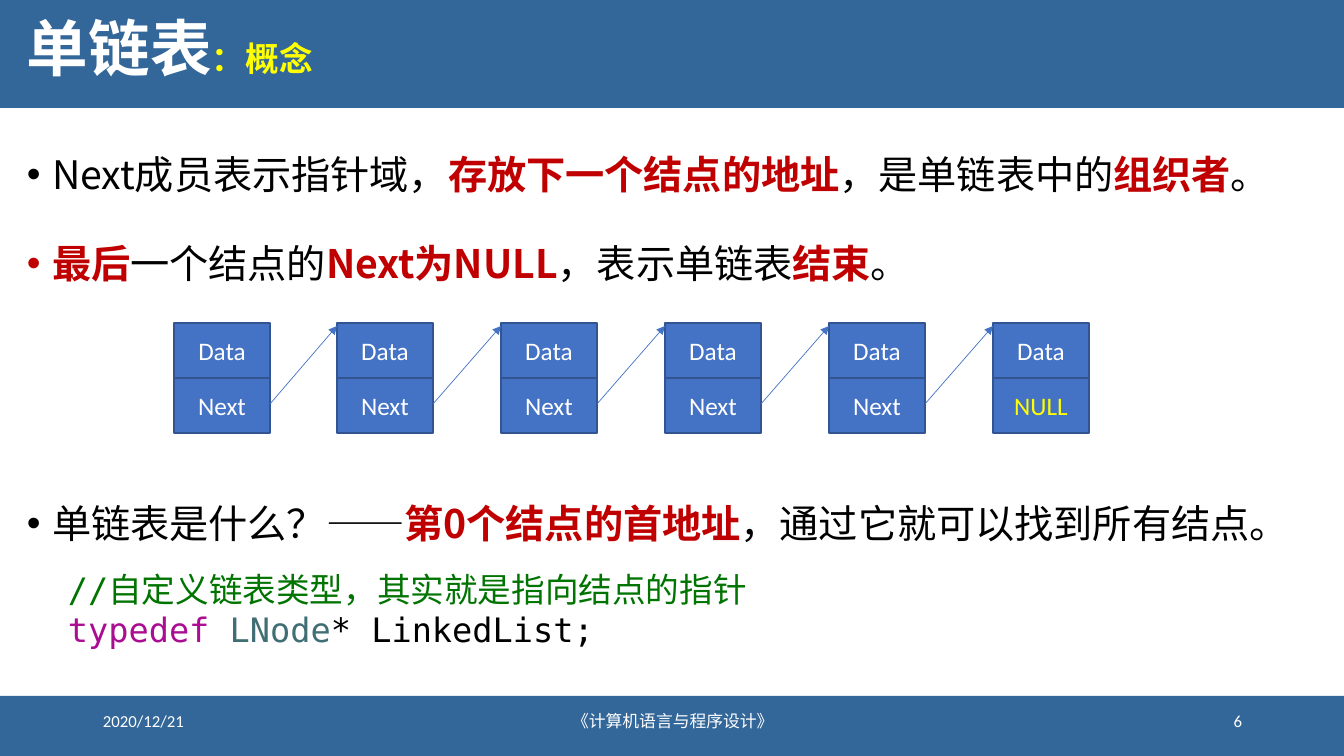
from pptx import Presentation, util as u
from pptx.dml.color import RGBColor
from pptx.enum import shapes as sh, text as tx
from pptx.oxml.ns import qn
from lxml import etree

# Content: a run is (text, style name)
TITLE = [[("单链表", "title"), ("：概念", "topic")]]
POINTS = [
    [("Next成员表示指针域，", "body"), ("存放下一个结点的地址", "key"),
     ("，是单链表中的", "body"), ("组织者", "key"), ("。", "body")],
    [("最后", "key"), ("一个结点的", "body"), ("Next为NULL", "key"),
     ("，表示单链表", "body"), ("结束", "key"), ("。", "body")],
]
ANSWER = [[("单链表是什么？——", "body"), ("第0个结点的首地址", "key"),
           ("，通过它就可以找到所有结点。", "body")]]
CODE = [
    [("//自定义链表类型，其实就是指向结点的指针", "note")],
    [("typedef ", "word"), ("LNode", "type"), ("* LinkedList;", "code")],
]
NODES = [("Data", "Next")] * 5 + [("Data", "NULL")]
FOOT = [  # text, left, width, alignment
    ("2020/12/21", 93, 302, "LEFT"),
    ("《计算机语言与程序设计》", 446, 454, "CENTER"),
    ("6", 950, 302, "RIGHT"),
]

# Theme
SANS, MONO, LATIN = "Noto Sans CJK SC", "DejaVu Sans Mono", "Calibri"
THEME = {
    "fill": {"bar": "336699", "node": "4472C4", "edge": "325491"},
    "text": {  # font, size, colour, bold
        "title": (SANS, 44, "FFFFFF", True),
        "topic": (SANS, 24, "FFFF00", True),
        "body": (SANS, 28, "000000", False),
        "key": (SANS, 28, "C00000", True),
        "note": (MONO, 24, "007400", False),
        "word": (MONO, 24, "AA0D91", False),
        "type": (MONO, 24, "3F6E74", False),
        "code": (MONO, 24, "000000", False),
        "cell": (LATIN, 18, "FFFFFF", False),
        "null": (LATIN, 18, "FFFF00", False),
        "foot": (LATIN, 12, "FFFFFF", False),
    },
}
PX = 914400 / 100.8
WIDE, HIGH = 1344, 756


def px(*nums):
    return [u.Emu(round(n * PX)) for n in nums]


def paint(name):
    return RGBColor.from_string(THEME["fill"][name])


def put(item, form):
    for name, value in form.items():
        setattr(item, name, value)


def write(frame, paras, form=None, bullet=False, **box):
    put(frame, {"word_wrap": True, **box})
    for i, runs in enumerate(paras):
        para = frame.paragraphs[0] if i == 0 else frame.add_paragraph()
        if bullet:
            props = para._p.get_or_add_pPr()
            put_in = {"marL": "228600", "indent": "-228600"}
            for name, value in put_in.items():
                props.set(name, value)
            etree.SubElement(props, qn("a:buFont")).set("typeface", "Arial")
            etree.SubElement(props, qn("a:buChar")).set("char", "•")
            put(para, {"line_spacing": 1.6, "space_before": u.Pt(10 if i else 0)})
        put(para, form or {})
        for words, style in runs:
            face, size, tint, bold = THEME["text"][style]
            run = para.add_run()
            run.text = words
            put(run.font, {"name": face, "size": u.Pt(size), "bold": bold})
            run.font.color.rgb = RGBColor.from_string(tint)
            etree.SubElement(run._r.rPr, qn("a:ea")).set("typeface", SANS)


def label(slide, place, paras, **form):
    write(slide.shapes.add_textbox(*px(*place)).text_frame, paras, **form)


def block(host, place, fill, edge=None):
    shape = host.add_shape(sh.MSO_SHAPE.RECTANGLE, *px(*place))
    shape.shadow.inherit = False
    shape.fill.solid()
    shape.fill.fore_color.rgb = paint(fill)
    if edge:
        shape.line.color.rgb = paint(edge)
        shape.line.width = u.Pt(1)
    else:
        shape.line.fill.background()
    return shape


def arrow(slide, *ends):
    link = slide.shapes.add_connector(sh.MSO_CONNECTOR.STRAIGHT, *px(*ends))
    link.line.color.rgb = paint("node")
    link.line.width = u.Pt(0.5)
    etree.SubElement(link.line._get_or_add_ln(), qn("a:tailEnd")).set("type", "triangle")
    etree.SubElement(link._element.spPr, qn("a:effectLst"))


def main():
    deck = Presentation()
    deck.slide_width, deck.slide_height = px(WIDE, HIGH)
    slide = deck.slides.add_slide(deck.slide_layouts[6])
    mid = tx.MSO_ANCHOR.MIDDLE

    # Bars, title and footer
    block(slide.shapes, (0, 0, WIDE, 108), "bar")
    block(slide.shapes, (0, 696, WIDE, 60), "bar")
    label(slide, (17, 0, 1297, 104), TITLE, form={"line_spacing": 0.9},
          vertical_anchor=mid)
    for words, left, width, side in FOOT:
        label(slide, (left, 701, width, 40), [[(words, "foot")]],
              form={"alignment": getattr(tx.PP_ALIGN, side)}, vertical_anchor=mid)

    # Bullet points
    label(slide, (17, 117, 1297, 180), POINTS, bullet=True)
    label(slide, (17, 466, 1297, 80), ANSWER, bullet=True)

    # Linked nodes: six across, two cells each
    left, top, width, height, span = 174, 323, 96, 55, 819
    last = len(NODES) - 1
    lefts = [left + span * i // last for i in range(len(NODES))]
    for x, cells in zip(lefts, NODES):
        node = slide.shapes.add_group_shape().shapes
        for row, words in enumerate(cells):
            cell = block(node, (x, top + row * height, width, height), "node", "edge")
            style = "null" if words == "NULL" else "cell"
            write(cell.text_frame, [[(words, style)]],
                  form={"alignment": tx.PP_ALIGN.CENTER}, vertical_anchor=mid)
    for x, goal in zip(lefts, lefts[1:]):
        arrow(slide, x + width, top + 81, goal, top + 3)

    # Code
    label(slide, (58, 564, 778, 92), CODE)
    deck.save("out.pptx")


if __name__ == "__main__":
    main()
